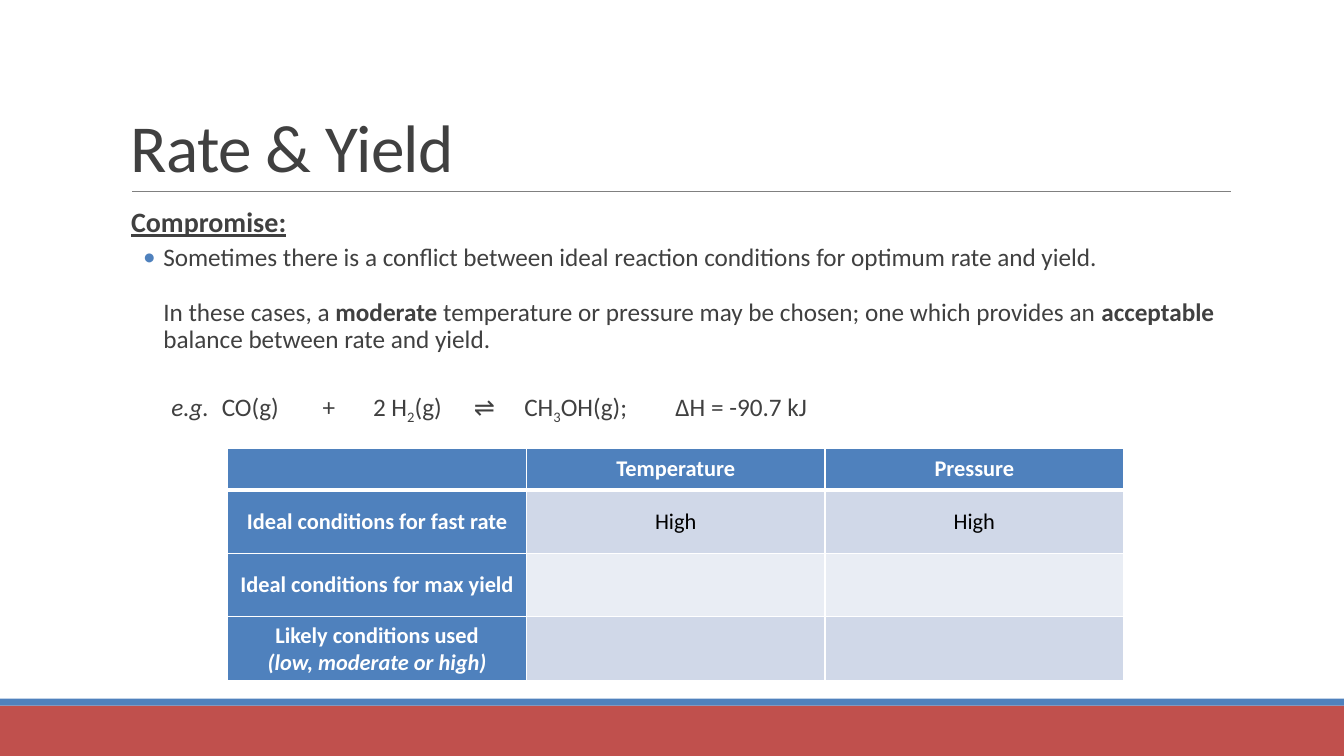
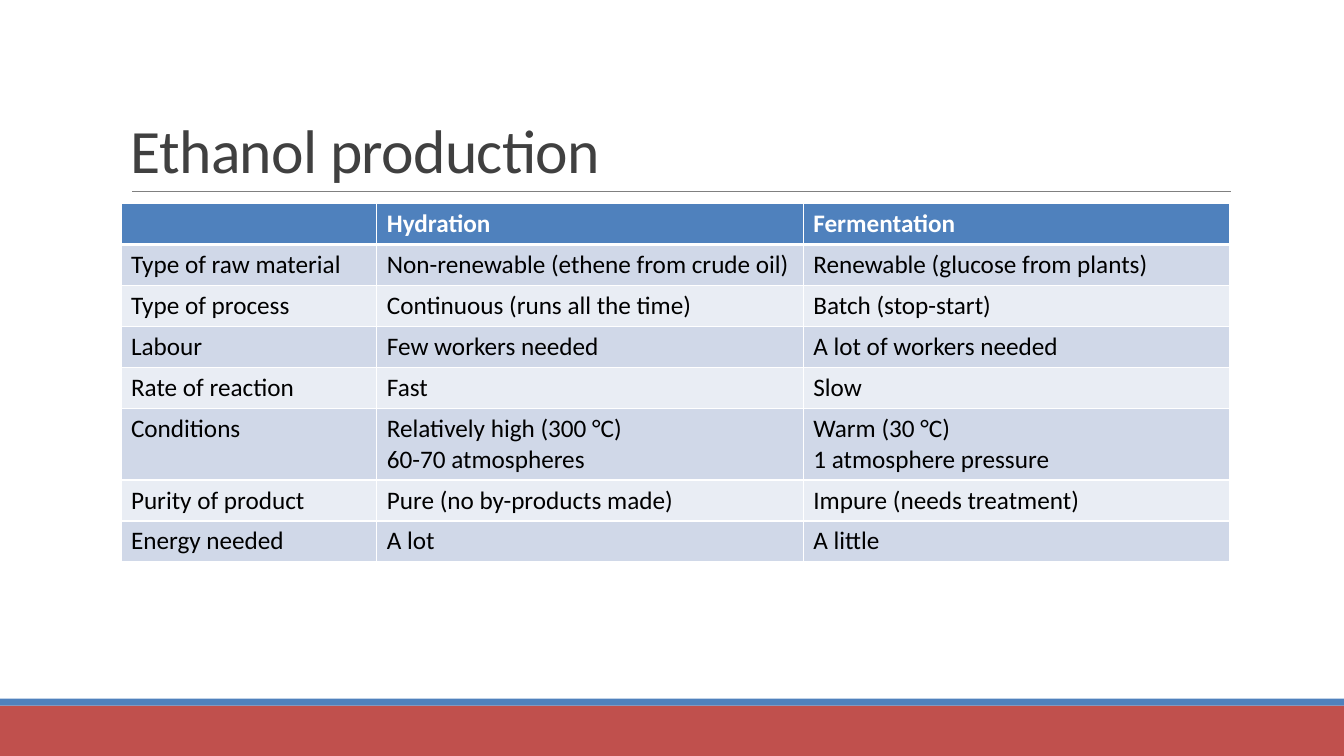
from lxml.etree import SubElement as Sub
from pptx import Presentation
from pptx.dml.color import RGBColor as RGB
from pptx.enum.shapes import MSO_CONNECTOR as CONN, MSO_SHAPE as SHAPE
from pptx.enum.text import MSO_ANCHOR as ANCHOR, PP_ALIGN as ALIGN
from pptx.oxml.ns import qn
from pptx.util import Inches, Pt

W, H = Inches(13.33), Inches(7.5)
FONT = "Calibri"
BLUE, RED, GREY, INK = "4F81BD", "C0504D", "808080", "404040"
WHITE, BLACK = "FFFFFF", "000000"
BANDS = ("D0D8E8", "E9EDF4")
LEFT, WIDTH, RULE_Y, BODY_Y = 9, 82.5, 25.33, 26.93
BOLD = {"bold": True}
ITALIC = {"italic": True}
SUBSCRIPT = {"baseline": -25000}
RAW = ("spc", "baseline")


def rgb(color):
    return RGB.from_string(color)


def cols(share):
    return int(W * share / 100)


def rows(share):
    return int(H * share / 100)


def box(x, y, w, h):
    return cols(x), rows(y), cols(w), rows(h)


def add_run(p, text, color, **fmt):
    r = p.add_run()
    r.text = text
    r.font.name = FONT
    r.font.color.rgb = rgb(color)
    for key, value in fmt.items():
        if key in RAW:
            r.font._element.set(key, str(value))
        else:
            setattr(r.font, key, value)


def format_paragraph(p, **fmt):
    for key, value in fmt.items():
        setattr(p, key, value)


def set_indent(p, left, hang=0):
    pPr = p._p.get_or_add_pPr()
    pPr.set("marL", str(Inches(left)))
    pPr.set("indent", str(-Inches(hang)))
    return pPr


def add_bullet(pPr):
    Sub(Sub(pPr, qn("a:buClr")), qn("a:srgbClr"), val=BLUE)
    Sub(pPr, qn("a:buFont"), typeface=FONT)
    Sub(pPr, qn("a:buChar"), char="•")


def add_tabs(pPr, stops):
    tabs = Sub(pPr, qn("a:tabLst"))
    for stop in stops:
        Sub(tabs, qn("a:tab"), pos=str(Inches(stop)), algn="l")


def add_text_box(s, x, y, w, h):
    tf = s.shapes.add_textbox(*box(x, y, w, h)).text_frame
    tf.word_wrap = True
    return tf


def add_band(s, y, h, color):
    sp = s.shapes.add_shape(SHAPE.RECTANGLE, *box(0, y, 100, h))
    sp.shadow.inherit = False
    sp.fill.solid()
    sp.fill.fore_color.rgb = rgb(color)
    sp.line.fill.background()


def add_rule(s, x1, x2, y):
    line = s.shapes.add_connector(CONN.STRAIGHT, cols(x1), rows(y), cols(x2), rows(y))
    line.line.color.rgb = rgb(GREY)
    line.line.width = Pt(0.5)
    Sub(line._element.spPr, qn("a:effectLst"))


def add_slide(prs, title, size):
    s = prs.slides.add_slide(prs.slide_layouts[6])
    add_band(s, 93.33, 6.67, RED)
    add_band(s, 92.4, 0.93, BLUE)
    add_rule(s, 9.83, 91.6, RULE_Y)
    tf = add_text_box(s, LEFT, 4.13, WIDTH, RULE_Y - 4.13)
    tf.vertical_anchor = ANCHOR.BOTTOM
    p = tf.paragraphs[0]
    format_paragraph(p, line_spacing=0.85)
    add_run(p, title, INK, size=Pt(size), spc=-50)
    return s


def add_borders(cell, top, bottom):
    tcPr = cell._tc.get_or_add_tcPr()
    for side, width in (("L", 1), ("R", 1), ("T", top), ("B", bottom)):
        ln = Sub(tcPr, qn(f"a:ln{side}"), w=str(Pt(width)))
        Sub(Sub(ln, qn("a:solidFill")), qn("a:srgbClr"), val=WHITE)


def fill_cell(cell, text, fill, color, size, align, **fmt):
    cell.fill.solid()
    cell.fill.fore_color.rgb = rgb(fill)
    tf = cell.text_frame
    for i, line in enumerate(text.split("\n") if text else []):
        p = tf.add_paragraph() if i else tf.paragraphs[0]
        p.alignment = align
        italic = {"italic": True} if line.startswith("(low") else {}
        add_run(p, line, color, size=Pt(size), **fmt, **italic)


def add_table(s, x, y, widths, heights, data, size, align=ALIGN.LEFT,
              anchor=ANCHOR.TOP, head_col=False):
    frame = s.shapes.add_table(len(data), len(widths),
                               *box(x, y, sum(widths), sum(heights)))
    table = frame.table
    table.horz_banding = False
    for column, w in zip(table.columns, widths):
        column.width = cols(w)
    for i, (row, h) in enumerate(zip(data, heights)):
        table.rows[i].height = rows(h)
        for j, text in enumerate(row):
            cell = table.cell(i, j)
            cell.vertical_anchor = anchor
            head = i == 0 or (head_col and j == 0)
            add_borders(cell, 3 if i == 1 else 1, 3 if i == 0 else 1)
            fill_cell(cell, text, BLUE if head else BANDS[(i - 1) % 2],
                      WHITE if head else BLACK, size, align, bold=head)


def add_body(s):
    tf = add_text_box(s, LEFT, BODY_Y, WIDTH, 30)
    tf.margin_left = tf.margin_right = 0
    heading, conflict, compromise, example = (
        [tf.paragraphs[0]] + [tf.add_paragraph() for _ in range(3)])
    layout = ((heading, 0, 2), (conflict, 2, 4), (compromise, 16, 4), (example, 23, 4))
    for p, before, after in layout:
        format_paragraph(p, line_spacing=0.9, space_before=Pt(before),
                         space_after=Pt(after))
    set_indent(heading, 0.1)
    add_bullet(set_indent(conflict, 0.42, 0.2))
    set_indent(compromise, 0.42)
    add_tabs(set_indent(example, 0), (1.22, 2.15, 2.9, 3.19, 4.04, 4.41, 6))
    add_run(heading, "Compromise:", INK, size=Pt(20), bold=True, underline=True)
    content = (
        (conflict, (("Sometimes there is a conflict between ideal reaction "
                     "conditions for optimum rate and yield.", {}),)),
        (compromise, (("In these cases, a ", {}), ("moderate", BOLD),
                      (" temperature or pressure may be chosen; one which "
                       "provides an ", {}),
                      ("acceptable ", BOLD), ("balance between rate and yield.", {}))),
        (example, (("\te.g.", ITALIC), ("\tCO(g)\t+\t2 H", {}), ("2", SUBSCRIPT),
                   ("(g)\t⇌\tCH", {}), ("3", SUBSCRIPT),
                   ("OH(g);\tΔH = -90.7 kJ", {}))),
    )
    for p, runs in content:
        for text, fmt in runs:
            add_run(p, text, INK, size=Pt(18), **fmt)


def build_rate_slide(prs):
    s = add_slide(prs, "Rate & Yield", 48)
    add_body(s)
    data = (
        ("", "Temperature", "Pressure"),
        ("Ideal conditions for fast rate", "High", "High"),
        ("Ideal conditions for max yield", "", ""),
        ("Likely conditions used\n(low, moderate or high)", "", ""),
    )
    add_table(s, 16.95, 59.33, [22.22] * 3, [5.47] + [8.4] * 3, data, 16,
              ALIGN.CENTER, ANCHOR.MIDDLE, head_col=True)


def build_ethanol_slide(prs):
    s = add_slide(prs, "Ethanol production", 44)
    data = (
        ("", "Hydration", "Fermentation"),
        ("Type of raw material", "Non-renewable (ethene from crude oil)",
         "Renewable (glucose from plants)"),
        ("Type of process", "Continuous (runs all the time)", "Batch (stop-start)"),
        ("Labour", "Few workers needed", "A lot of workers needed"),
        ("Rate of reaction", "Fast", "Slow"),
        ("Conditions", "Relatively high (300 °C)\n60-70 atmospheres",
         "Warm (30 °C)\n1 atmosphere pressure"),
        ("Purity of product", "Pure (no by-products made)", "Impure (needs treatment)"),
        ("Energy needed", "A lot", "A little"),
    )
    heights = [9.47 if "\n" in row[1] else 5.42 for row in data]
    add_table(s, LEFT, BODY_Y, [19.04, 31.73, 31.73], heights, data, 18)


def main():
    prs = Presentation()
    prs.slide_width, prs.slide_height = W, H
    build_rate_slide(prs)
    build_ethanol_slide(prs)
    prs.save("out.pptx")


if __name__ == "__main__":
    main()
